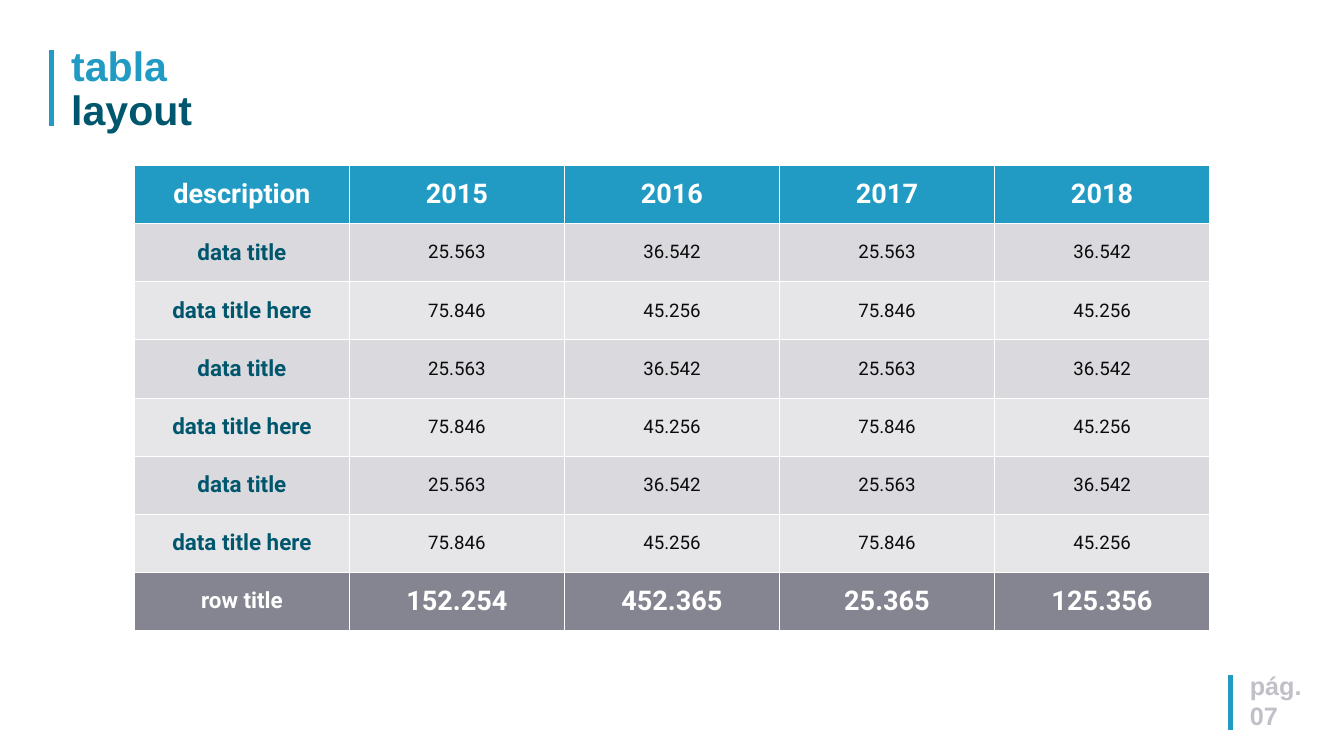
from dataclasses import dataclass

from lxml.etree import SubElement
from pptx import Presentation
from pptx.dml.color import RGBColor
from pptx.enum.shapes import MSO_CONNECTOR
from pptx.enum.text import MSO_ANCHOR, MSO_AUTO_SIZE, PP_ALIGN
from pptx.oxml.ns import qn
from pptx.util import Inches, Pt


@dataclass(frozen=True)
class Theme:
    blue: str = "219BC3"
    teal: str = "00566C"
    white: str = "FFFFFF"
    ink: str = "0C0B0B"
    band_dark: str = "D9D9DE"
    band_light: str = "E6E6E9"
    total_fill: str = "858591"
    page_grey: str = "C0C0C8"
    heading_font: str = "Arial"
    table_font: str = "Roboto"
    title_size: int = 44
    page_size: int = 27
    large: int = 29
    label: int = 24
    value: int = 20
    accent_line: float = 5
    thick_border: float = 1.47
    thin_border: float = 0.45


def style(span, font, size, color, bold=True):
    span.font.name = font
    span.font.size = Pt(size)
    span.font.color.rgb = RGBColor.from_string(color)
    span.font.bold = bold


def add_borders(cell, widths, color):
    """Draw cell borders; widths holds points for left, right, top, bottom."""
    properties = cell._tc.get_or_add_tcPr()
    for side, width in zip("LRTB", widths):
        line = SubElement(properties, qn(f"a:ln{side}"), w=str(Pt(width)))
        fill = SubElement(line, qn("a:solidFill"))
        SubElement(fill, qn("a:srgbClr"), val=color)


theme = Theme()
deck = Presentation()
deck.slide_width, deck.slide_height = Inches(20), Inches(11.25)
page = deck.slides.add_slide(deck.slide_layouts.get_by_name("Title Only"))

# Accent lines beside the page number and the title
for x, top, bottom in [(18.31, 10.05, 10.86), (0.77, 0.75, 1.88)]:
    accent = page.shapes.add_connector(
        MSO_CONNECTOR.STRAIGHT, Inches(x), Inches(top), Inches(x), Inches(bottom))
    accent.line.color.rgb = RGBColor.from_string(theme.blue)
    accent.line.width = Pt(theme.accent_line)
    SubElement(accent._element.spPr, qn("a:effectLst"))

# Title
title = page.shapes.title
title.left, title.top = Inches(0.96), Inches(0.62)
title.width, title.height = Inches(5.96), Inches(1.45)
title.text_frame.text = "tabla\vlayout"
title.text_frame.auto_size = MSO_AUTO_SIZE.SHAPE_TO_FIT_TEXT
title.text_frame.vertical_anchor = MSO_ANCHOR.MIDDLE
para = title.text_frame.paragraphs[0]
para.alignment = PP_ALIGN.LEFT
para.line_spacing = 0.9
for span, color in zip(para.runs, (theme.blue, theme.teal)):
    style(span, theme.heading_font, theme.title_size, color)

# Table
header = ["description", "2015", "2016", "2017", "2018"]
odd_row = ["data title"] + ["25.563", "36.542"] * 2
even_row = ["data title here"] + ["75.846", "45.256"] * 2
totals = ["row title", "152.254", "452.365", "25.365", "125.356"]
rows = [header] + [odd_row, even_row] * 3 + [totals]
last = len(rows) - 1

table = page.shapes.add_table(
    len(rows), len(header), Inches(2), Inches(2.46), Inches(16), Inches(6.92)).table
table.first_row = table.horz_banding = False

for r, texts in enumerate(rows):
    top = theme.thick_border if r in (0, 1, last) else theme.thin_border
    bottom = theme.thick_border if r in (0, last - 1, last) else theme.thin_border
    if r == 0:
        fill = theme.blue
    elif r == last:
        fill = theme.total_fill
    else:
        fill = theme.band_dark if r % 2 else theme.band_light

    for c, text in enumerate(texts):
        cell = table.cell(r, c)
        add_borders(cell, (theme.thick_border, theme.thick_border, top, bottom), theme.white)
        cell.fill.solid()
        cell.fill.fore_color.rgb = RGBColor.from_string(fill)
        cell.vertical_anchor = MSO_ANCHOR.MIDDLE
        cell.text_frame.text = text
        para = cell.text_frame.paragraphs[0]
        para.alignment = PP_ALIGN.CENTER

        is_label = c == 0
        if r in (0, last):
            size = theme.label if r == last and is_label else theme.large
            color, bold = theme.white, True
        elif is_label:
            size, color, bold = theme.label, theme.teal, True
        else:
            size, color, bold = theme.value, theme.ink, False
        style(para.runs[0], theme.table_font, size, color, bold)

# Page number
page_box = page.shapes.add_textbox(Inches(18.5), Inches(9.92), Inches(1.9), Inches(1))
page_box.text_frame.word_wrap = True
page_box.text_frame.auto_size = MSO_AUTO_SIZE.SHAPE_TO_FIT_TEXT
page_box.text_frame.text = "pág.\n07"
for para in page_box.text_frame.paragraphs:
    style(para.runs[0], theme.heading_font, theme.page_size, theme.page_grey)

deck.save("out.pptx")
